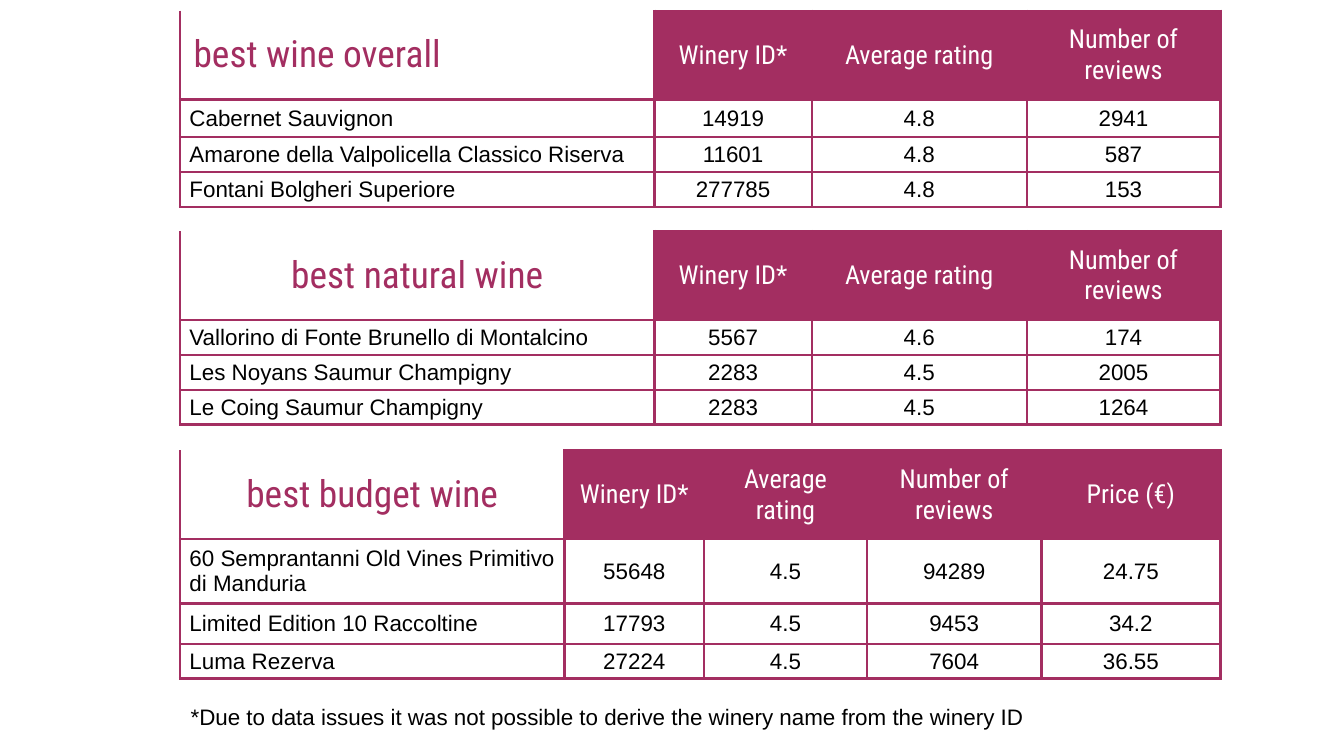
from lxml.etree import SubElement
from pptx import Presentation
from pptx.dml.color import RGBColor as RGB
from pptx.enum.text import MSO_ANCHOR as ANCHOR, PP_ALIGN as ALIGN
from pptx.oxml.ns import qn
from pptx.util import Inches, Pt

WINE, BLACK, WHITE = RGB(0xA3, 0x2E, 0x61), RGB(0, 0, 0), RGB(255, 255, 255)
THEME = {
    "title": {"font": {"name": "Roboto Condensed", "size": Pt(20)}, "color": WINE},
    "header": {"font": {"name": "Roboto Condensed", "size": Pt(14)}, "color": WHITE},
    "body": {"font": {"name": "Arial", "size": Pt(12)}, "color": BLACK},
    "border": Pt(1.5),
}

deck = Presentation()
deck.slide_width = Inches(10)
deck.slide_height = deck.slide_width * 9 // 16
slide = deck.slides.add_slide(deck.slide_layouts[6])
UNIT = deck.slide_width // 1000

WIDE_PAD = dict.fromkeys(
    ("margin_left", "margin_right", "margin_top", "margin_bottom"), 10 * UNIT
)
SLIM_PAD = {
    "margin_left": 7 * UNIT,
    "margin_right": 7 * UNIT,
    "margin_top": 3 * UNIT,
    "margin_bottom": 3 * UNIT,
}


def write(paragraph, text, role, align):
    paragraph.text = text
    paragraph.alignment = align
    font = paragraph.runs[0].font
    for attribute, value in THEME[role]["font"].items():
        setattr(font, attribute, value)
    font.color.rgb = THEME[role]["color"]


def draw_borders(cell, hidden):
    properties = cell._tc.get_or_add_tcPr()
    for side in ("L", "R", "T", "B"):
        edge = SubElement(properties, qn(f"a:ln{side}"), w=str(THEME["border"]))
        if side in hidden:
            SubElement(edge, qn("a:noFill"))
        else:
            paint = SubElement(edge, qn("a:solidFill"))
            SubElement(paint, qn("a:srgbClr"), val=str(WINE))


HEADERS = ["Winery ID*", "Average rating", "Number of reviews"]
FOUR_COLUMNS = [353, 117, 160, 144]
RANKINGS = [
    {
        "top": 8,
        "columns": FOUR_COLUMNS,
        "rows": [66, 28, 26, 26],
        "title_align": ALIGN.LEFT,
        "entries": [
            ["best wine overall", *HEADERS],
            ["Cabernet Sauvignon", "14919", "4.8", "2941"],
            ["Amarone della Valpolicella Classico Riserva", "11601", "4.8", "587"],
            ["Fontani Bolgheri Superiore", "277785", "4.8", "153"],
        ],
    },
    {
        "top": 172,
        "columns": FOUR_COLUMNS,
        "rows": [66, 26, 26, 26],
        "title_align": ALIGN.CENTER,
        "entries": [
            ["best natural wine", *HEADERS],
            ["Vallorino di Fonte Brunello di Montalcino", "5567", "4.6", "174"],
            ["Les Noyans Saumur Champigny", "2283", "4.5", "2005"],
            ["Le Coing Saumur Champigny", "2283", "4.5", "1264"],
        ],
    },
    {
        "top": 335,
        "columns": [286, 104, 121, 130, 133],
        "rows": [66, 48, 30, 26],
        "title_align": ALIGN.CENTER,
        "entries": [
            ["best budget wine", *HEADERS, "Price (€)"],
            ["60 Semprantanni Old Vines Primitivo di Manduria", "55648", "4.5", "94289", "24.75"],
            ["Limited Edition 10 Raccoltine", "17793", "4.5", "9453", "34.2"],
            ["Luma Rezerva", "27224", "4.5", "7604", "36.55"],
        ],
    },
]

for ranking in RANKINGS:
    columns, rows = ranking["columns"], ranking["rows"]
    table = slide.shapes.add_table(
        len(rows), len(columns), 134 * UNIT, ranking["top"] * UNIT,
        sum(columns) * UNIT, sum(rows) * UNIT,
    ).table
    for flag in ("first_row", "horz_banding"):
        setattr(table, flag, False)
    for column, width in zip(table.columns, columns):
        column.width = width * UNIT
    for row, height in zip(table.rows, rows):
        row.height = height * UNIT

    for r, entry in enumerate(ranking["entries"]):
        for c, text in enumerate(entry):
            cell = table.cell(r, c)
            is_title = r == 0 and c == 0
            role = "title" if is_title else "header" if r == 0 else "body"
            align = ALIGN.LEFT if c == 0 else ALIGN.CENTER
            if is_title:
                align = ranking["title_align"]
            padding = WIDE_PAD if r == 0 else SLIM_PAD
            for attribute, value in {**padding, "vertical_anchor": ANCHOR.MIDDLE}.items():
                setattr(cell, attribute, value)
            draw_borders(cell, hidden="T" if is_title else "")
            if role == "header":
                cell.fill.solid()
                cell.fill.fore_color.rgb = WINE
            else:
                cell.fill.background()
            write(cell.text_frame.paragraphs[0], text, role, align)

footnote = slide.shapes.add_textbox(
    132 * UNIT, 513 * UNIT, 844 * UNIT, 41 * UNIT
).text_frame
for attribute, value in {**WIDE_PAD, "word_wrap": True}.items():
    setattr(footnote, attribute, value)
write(
    footnote.paragraphs[0],
    "*Due to data issues it was not possible to derive the winery name from the winery ID",
    "body",
    ALIGN.LEFT,
)

deck.save("out.pptx")
